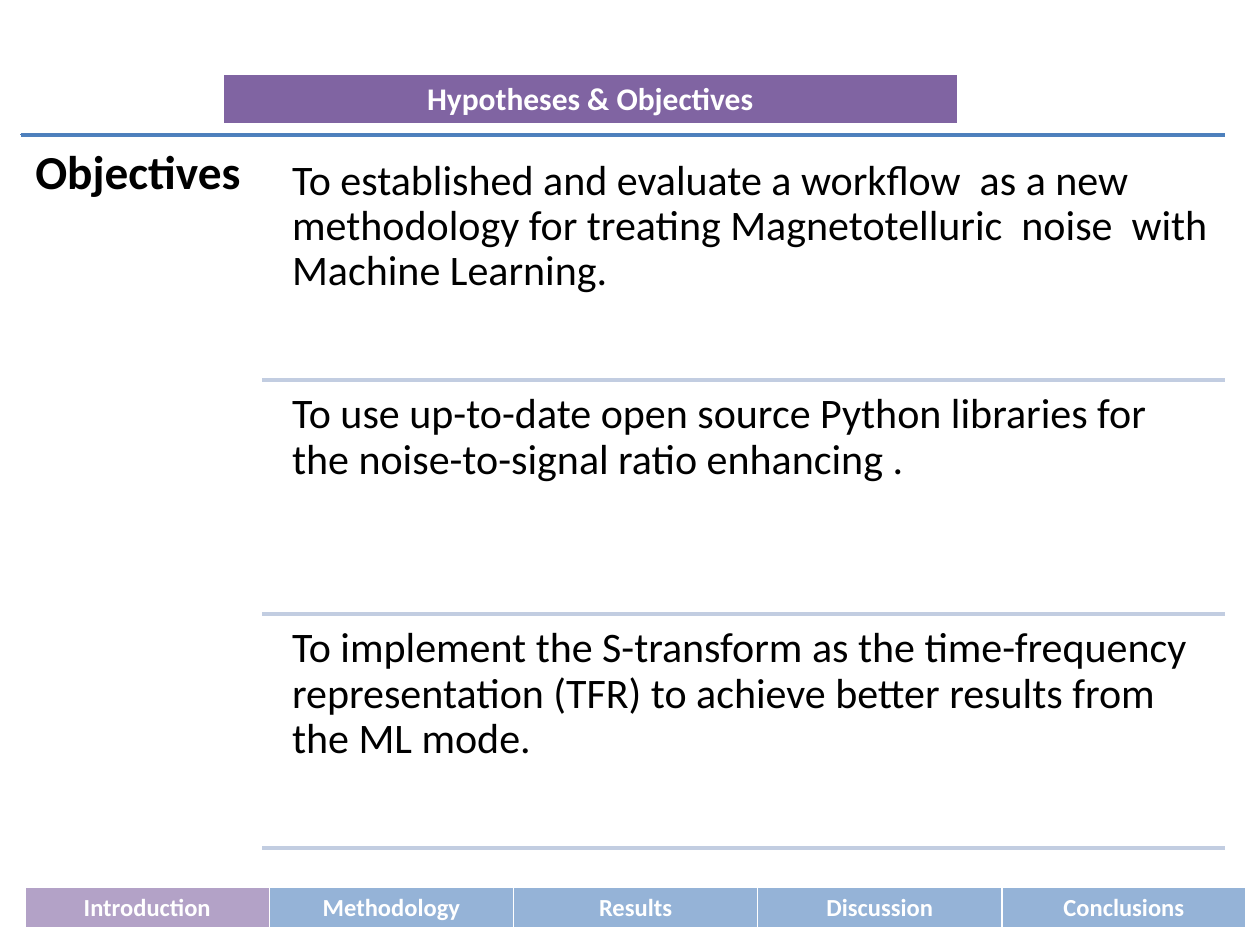
from lxml import etree
from pptx import Presentation
from pptx import util as u
from pptx.dml import color
from pptx.enum import shapes, text
from pptx.oxml import ns

WHITE = "FFFFFF"
BLUE = "95B3D7"
MAUVE = "B3A2C7"
GOALS = [
    "To established and evaluate a workflow  as a new methodology for treating Magnetotelluric  noise  with Machine Learning.",
    "To use up-to-date open source Python libraries for the noise-to-signal ratio enhancing .",
    "To implement the S-transform as the time-frequency representation (TFR) to achieve better results from the ML mode.",
]
STEPS = ["Introduction", "Methodology", "Results", "Discussion", "Conclusions"]


def rgb(code):
    return color.RGBColor.from_string(code)


def apply(item, form):
    for key, val in form.items():
        setattr(item, key, val)


def write(frame, words, size, tone, bold, align):
    para = frame.paragraphs[0]
    para.text = words
    para.alignment = align
    apply(para.font, {"name": "Calibri", "size": u.Pt(size), "bold": bold})
    para.font.color.rgb = rgb(tone)
    return para


def rule(slide, left, right, top, tone, width):
    line = slide.shapes.add_connector(
        shapes.MSO_CONNECTOR.STRAIGHT,
        u.Inches(left), u.Inches(top), u.Inches(right), u.Inches(top))
    line.line.color.rgb = rgb(tone)
    line.line.width = u.Pt(width)
    etree.SubElement(line._element.spPr, ns.qn("a:effectLst"))


def block(shape, box, words, size, bold, pad):
    sides = ("left", "top", "width", "height")
    apply(shape, {side: u.Inches(val) for side, val in zip(sides, box)})
    frame = shape.text_frame
    apply(frame, {
        "word_wrap": True,
        "auto_size": text.MSO_AUTO_SIZE.NONE,
        "vertical_anchor": text.MSO_ANCHOR.TOP,
    })
    apply(frame, {"margin_" + side: u.Inches(pad)
                  for side in ("left", "top", "right", "bottom")})
    para = write(frame, words, size, "000000", bold, text.PP_ALIGN.LEFT)
    para.line_spacing = 0.9


def edge(cell):
    props = cell._tc.get_or_add_tcPr()
    for spot, (side, width) in enumerate([("L", 1), ("R", 1), ("T", 1), ("B", 3)]):
        line = etree.Element(ns.qn("a:ln" + side), w=str(u.Pt(width)))
        fill = etree.SubElement(line, ns.qn("a:solidFill"))
        etree.SubElement(fill, ns.qn("a:srgbClr"), val=WHITE)
        props.insert(spot, line)


def strip(slide, box, words, fills, size):
    grid = slide.shapes.add_table(1, len(words), *map(u.Inches, box)).table
    for cell, word, tone in zip(grid.rows[0].cells, words, fills):
        cell.fill.solid()
        cell.fill.fore_color.rgb = rgb(tone)
        edge(cell)
        write(cell.text_frame, word, size, WHITE, True, text.PP_ALIGN.CENTER)


def goals(slide, box):
    left, top, width, height = box
    right = left + width
    indent, gap = 1.91, 0.09
    step = (height - gap) / len(GOALS)
    rule(slide, left, right, top, "4F81BD", 2)
    block(slide.shapes.title, (left, top, indent, height), "Objectives", 27, True, 0.11)
    for row, goal in enumerate(GOALS):
        start = top + gap + row * step
        area = slide.shapes.add_textbox(0, 0, 0, 0)
        block(area, (left + 2.05, start, 7.5, 1.8), goal, 24, False, 0.1)
        rule(slide, left + indent, right, start + step, "C2CDE1", 2)


def main():
    deck = Presentation()
    apply(deck, {"slide_width": u.Inches(10), "slide_height": u.Inches(7.5)})
    slide = deck.slides.add_slide(deck.slide_layouts[5])
    goals(slide, (0.17, 1.07, 9.55, 5.75 - 0.09))
    strip(slide, (1.77, 0.59, 5.83, 0.39), ["Hypotheses & Objectives"], ["8064A2"], 18)
    rule(slide, 0.16, 9.72, 1.07, "4B7EBC", 0.75)
    strip(slide, (0.2, 7.04, 9.69, 0.31), STEPS, [MAUVE] + [BLUE] * 4, 14)
    deck.save("out.pptx")


if __name__ == "__main__":
    main()
